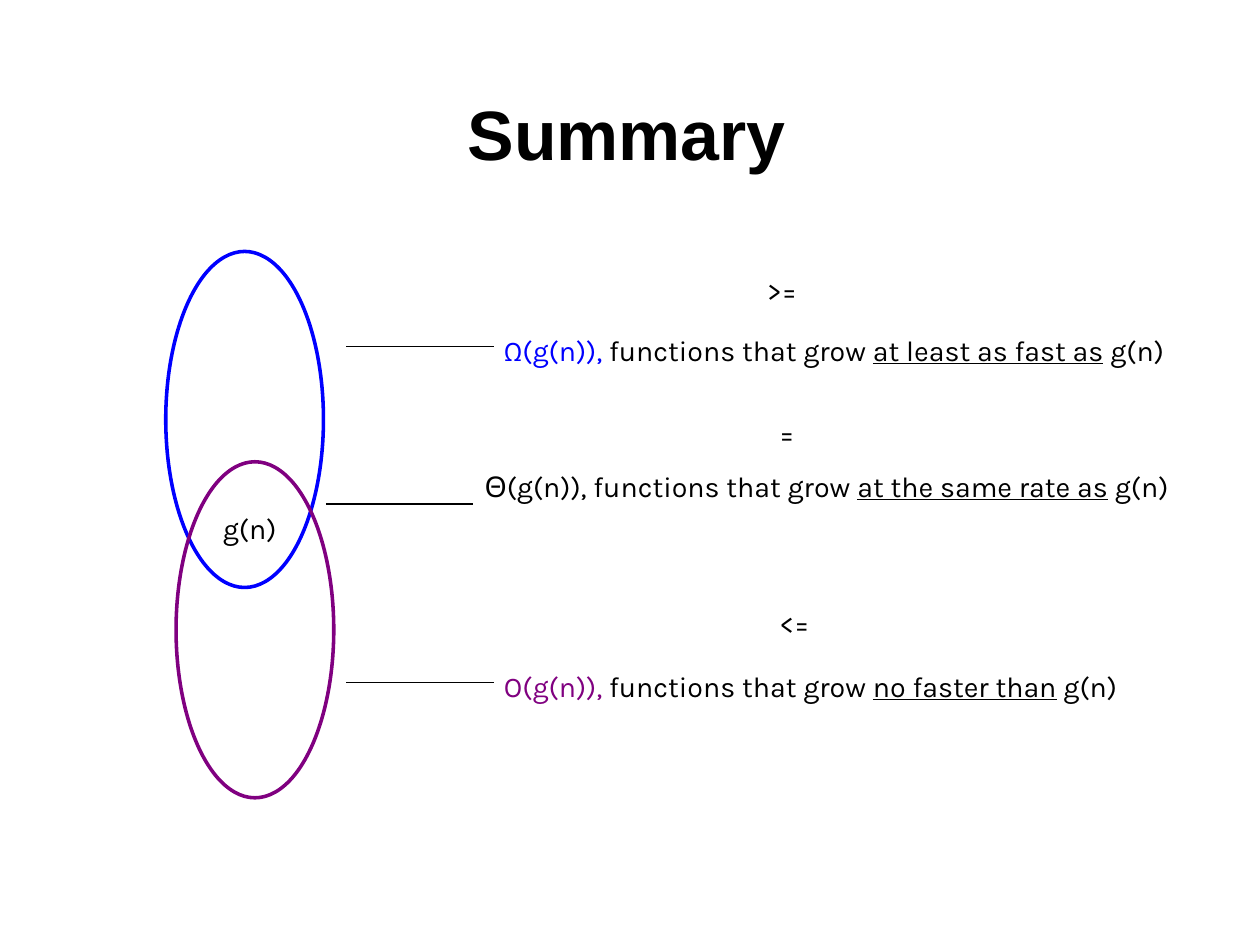
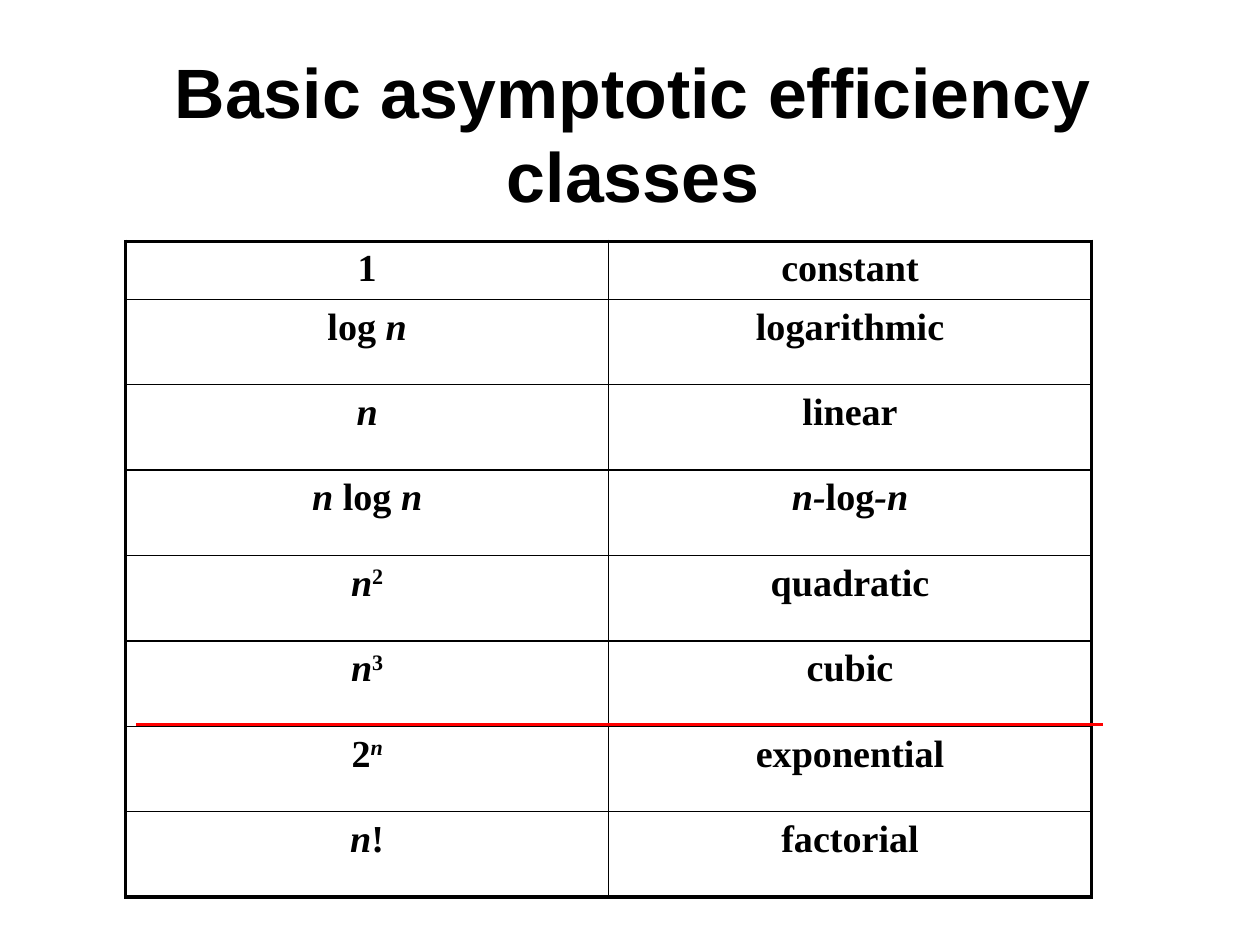
import pptx
import pptx.util
import pptx.dml.color
import pptx.enum.shapes
import pptx.enum.text
import pptx.oxml
import pptx.oxml.ns
import lxml.etree

Inches = pptx.util.Inches
Pt = pptx.util.Pt
qn = pptx.oxml.ns.qn
CENTER = pptx.enum.text.PP_ALIGN.CENTER
TOP = pptx.enum.text.MSO_ANCHOR.TOP
MIDDLE = pptx.enum.text.MSO_ANCHOR.MIDDLE
FIT = pptx.enum.text.MSO_AUTO_SIZE

COLORS = {"ink": "000000", "paper": "FFFFFF", "omega": "0000FF",
          "big_o": "800080", "limit": "FF0000"}
BODY = {"font": "Karla", "size": 18}
HEAD = {"font": "Arial", "size": 44, "bold": True}
CELL = {"font": "Times New Roman", "size": 24, "bold": True}
UNDER = {"under": True}
ITAL = {"ital": True}
SUPER = {"raised": 30}


def rgb(name):
    return pptx.dml.color.RGBColor.from_string(COLORS[name])


def write(par, text, font, size, color="ink", bold=False, ital=False,
          under=False, raised=0):
    """Add one formatted run to a paragraph."""
    run = par.add_run()
    run.text = text
    face = run.font
    face.name, face.size = font, Pt(size)
    face.bold, face.italic, face.underline = bold, ital, under
    face.color.rgb = rgb(color)
    if raised:
        run._r.get_or_add_rPr().set("baseline", str(raised * 1000))


def fill_in(par, parts, style):
    """Write a string, or a list of strings and (string, format) pairs."""
    for part in [parts] if isinstance(parts, str) else parts:
        text, extra = (part, {}) if isinstance(part, str) else part
        write(par, text, **{**style, **extra})


def pad(item, across, down):
    item.margin_left = item.margin_right = Inches(across)
    item.margin_top = item.margin_bottom = Inches(down)


class Deck:
    """Holds the presentation, its style and the current slide."""

    def __init__(self, prs):
        self.prs = prs
        self.slide = None

    def start(self, title, left):
        self.slide = self.prs.slides.add_slide(self.prs.slide_layouts[5])
        back = self.slide.background.fill
        back.solid()
        back.fore_color.rgb = rgb("paper")
        head = self.slide.shapes.title
        head.left, head.top = Inches(left), Inches(0.47)
        head.width, head.height = Inches(9.28), Inches(1.38)
        frame = head.text_frame
        frame.word_wrap, frame.auto_size = True, FIT.NONE
        frame.vertical_anchor = MIDDLE
        pad(frame, 0, 0)
        frame.paragraphs[0].alignment = CENTER
        fill_in(frame.paragraphs[0], title, HEAD)

    def text(self, parts, x, y, width):
        box = self.slide.shapes.add_textbox(
            Inches(x), Inches(y), Inches(width), Inches(0.41))
        frame = box.text_frame
        frame.word_wrap, frame.auto_size = False, FIT.SHAPE_TO_FIT_TEXT
        pad(frame, 0.11, 0.06)
        fill_in(frame.paragraphs[0], parts, BODY)

    def oval(self, x, y, width, height, color):
        ring = self.slide.shapes.add_shape(
            pptx.enum.shapes.MSO_SHAPE.OVAL,
            Inches(x), Inches(y), Inches(width), Inches(height))
        ring.shadow.inherit = False
        ring.fill.background()
        ring.line.color.rgb = rgb(color)
        ring.line.width = Pt(2.25)

    def rule(self, x, y, width, color="ink", weight=0.75):
        line = self.slide.shapes.add_connector(
            pptx.enum.shapes.MSO_CONNECTOR.STRAIGHT,
            Inches(x), Inches(y), Inches(x + width), Inches(y))
        line.line.color.rgb = rgb(color)
        line.line.width = Pt(weight)
        lxml.etree.SubElement(line._element.spPr, qn("a:effectLst"))

    def edge(self, cell, side, weight):
        props = cell._tc.get_or_add_tcPr()
        line = lxml.etree.SubElement(props, qn("a:ln" + side))
        line.set("w", str(Pt(weight)))
        solid = lxml.etree.SubElement(line, qn("a:solidFill"))
        tint = lxml.etree.SubElement(solid, qn("a:srgbClr"))
        tint.set("val", COLORS["ink"])

    def table(self, rows, x, y, width, heights):
        last, end = len(rows) - 1, len(rows[0]) - 1
        grid = self.slide.shapes.add_table(
            last + 1, end + 1, Inches(x), Inches(y),
            Inches(width), Inches(sum(heights))).table
        grid.first_row = grid.horz_banding = False
        for r, row in enumerate(rows):
            grid.rows[r].height = Inches(heights[r])
            for c, parts in enumerate(row):
                cell = grid.cell(r, c)
                pad(cell, 0.11, 0.06)
                cell.vertical_anchor = TOP
                par = cell.text_frame.paragraphs[0]
                par.alignment = CENTER
                fill_in(par, parts, CELL)
                # Heavy outer frame, thin inner lines
                outer = {"L": c == 0, "R": c == end,
                         "T": r == 0, "B": r == last}
                for side, heavy in outer.items():
                    self.edge(cell, side, 2.25 if heavy else 1)
                cell.fill.background()


def summary(deck):
    deck.start("Summary ", 0.93)
    # Overlapping classes
    deck.oval(1.45, 2.2, 1.38, 2.94, "omega")
    deck.oval(1.54, 4.04, 1.38, 2.94, "big_o")
    deck.text("g(n)", 1.84, 4.41, 0.7)
    # Meaning of each class: name, colour, growth, text place, rule place
    grow = " functions that grow "
    for name, color, rate, x, y, width, start, level in (
            ("Ω(g(n)),", "omega", "at least as fast as",
             4.3, 2.85, 6.06, 3.03, 3.03),
            ("Θ(g(n)),", "ink", "at the same rate as",
             4.13, 4.04, 6.27, 2.85, 4.41),
            ("O(g(n)),", "big_o", "no faster than",
             4.3, 5.79, 5.66, 3.03, 5.97)):
        deck.text([(name, {"color": color}), grow, (rate, UNDER), " g(n)"],
                  x, y, width)
        deck.rule(start, level, 1.29)
    # Comparison signs
    for sign, x, y, width in ((">=", 6.6, 2.33, 0.59),
                              ("=", 6.71, 3.58, 0.41),
                              ("<=", 6.71, 5.24, 0.59)):
        deck.text(sign, x, y, width)


def classes(deck):
    deck.start("Basic asymptotic efficiency classes", 0.9)
    n = ("n", ITAL)
    rows = [
        ("1", "constant"),
        (["log ", n], "logarithmic"),
        ([n], "linear"),
        ([("n ", ITAL), "log ", n], [("n-", ITAL), "log", ("-n", ITAL)]),
        ([n, ("2", SUPER)], "quadratic"),
        ([n, ("3", SUPER)], "cubic"),
        (["2", ("n", {**ITAL, **SUPER})], "exponential"),
        ([n, "!"], "factorial"),
    ]
    first, total = 0.51, 5.74
    rest = len(rows) - 1
    deck.table(rows, 1.1, 2.11, 8.45,
               [first] + [(total - first) / rest] * rest)
    # Border between polynomial and faster growth
    deck.rule(1.19, 6.34, 8.46, "limit", 2.25)


def main():
    prs = pptx.Presentation()
    # 28 by 21 centimetres
    prs.slide_width = Inches(28 / 2.54)
    prs.slide_height = Inches(21 / 2.54)
    deck = Deck(prs)
    summary(deck)
    classes(deck)
    prs.save("out.pptx")


if __name__ == "__main__":
    main()
